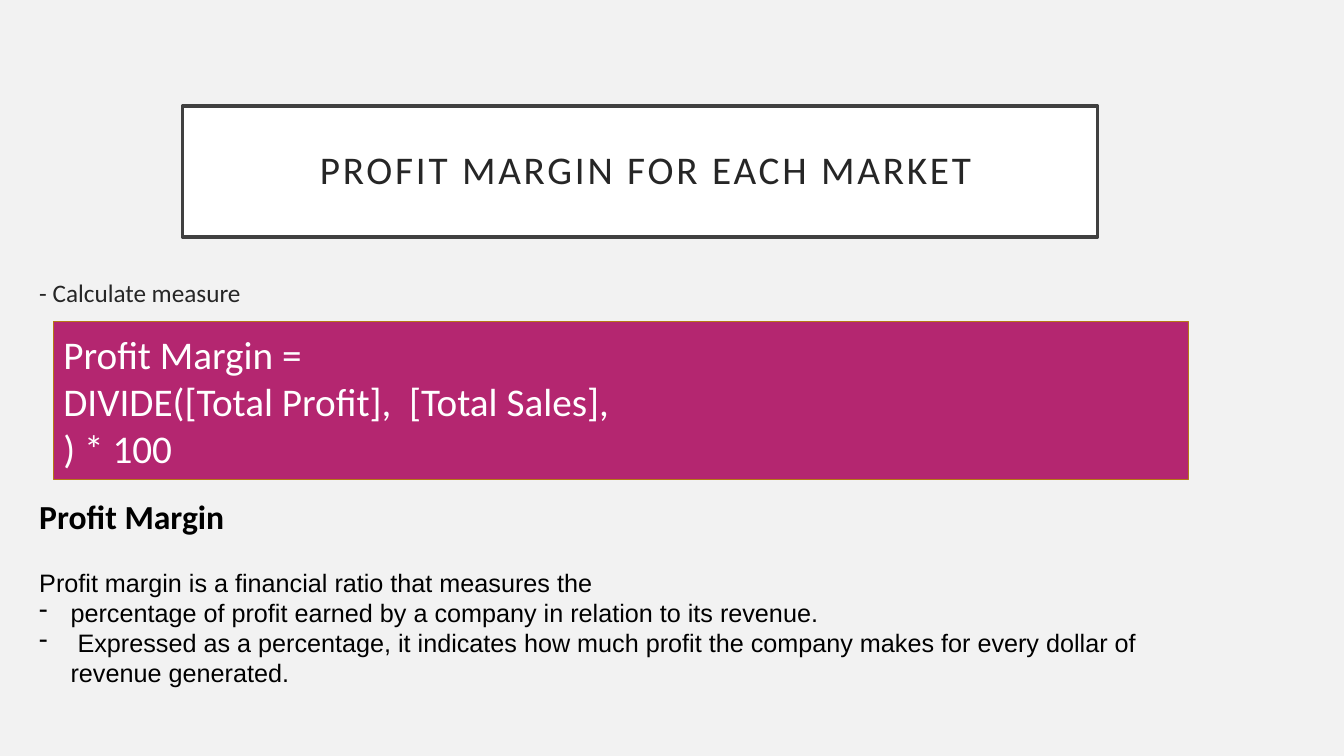
import pptx
import pptx.dml.color
import pptx.enum.shapes
import pptx.enum.text
import pptx.util
from lxml import etree

Cm, Pt = pptx.util.Cm, pptx.util.Pt
ANCHOR, ALIGN = pptx.enum.text.MSO_ANCHOR, pptx.enum.text.PP_ALIGN

BACKGROUND, INK, WHITE, BLACK = "F2F2F2", "262626", "FFFFFF", "000000"

# Each paragraph: text, font format, paragraph format, bullet
TITLE = [(" PROFIT MARGIN FOR EACH MARKET",
          {"size": Pt(28), "name": "Calibri", "color": INK},
          {"alignment": ALIGN.CENTER, "line_spacing": 0.9}, None)]
STEP = [("- Calculate measure",
         {"size": Pt(18), "name": "Calibri", "color": INK},
         {"space_before": Pt(10)}, None)]

FORMULA_FONT = {"size": Pt(28), "name": "Calibri", "color": WHITE}
FORMULA = [(line, FORMULA_FONT, {"alignment": ALIGN.LEFT}, None) for line in (
    "Profit Margin =",
    "DIVIDE([Total Profit],  [Total Sales],",
    ") * 100",
)]

BODY_FONT = {"size": Pt(18), "name": "Arial", "color": BLACK}
DEFINITION = [
    ("Profit Margin",
     {"size": Pt(24), "name": "Calibri", "color": BLACK, "bold": True}, {}, None),
    ("Profit margin is a financial ratio that measures the",
     BODY_FONT, {"space_before": Pt(22)}, None),
    ("percentage of profit earned by a company in relation to its revenue.",
     BODY_FONT, {}, "-"),
    (" Expressed as a percentage, it indicates how much profit the company "
     "makes for every dollar of revenue generated.", BODY_FONT, {}, "-"),
]

# Left, top, width, height in cm
STEP_BOX = (0.74, 6.86, 30.38, 11.66)
TITLE_BOX = (4.6, 2.67, 23.06, 3.3)
FORMULA_BOX = (1.35, 8.1, 28.6, 3.99)
DEFINITION_BOX = (0.74, 12.37, 29.21, 5.13)
TITLE_INSET, BULLET_INDENT = Cm(0.51), Cm(0.79)


def rgb(value):
    return pptx.dml.color.RGBColor.from_string(value)


def add_bullet(paragraph, mark):
    """Give the paragraph a hanging indent and a character bullet."""
    properties = paragraph._p.get_or_add_pPr()
    properties.set("marL", str(BULLET_INDENT))
    properties.set("indent", str(-BULLET_INDENT))
    tag = pptx.oxml.ns.qn("a:buChar")
    etree.SubElement(properties, tag).set("char", mark)


def write(frame, content, frame_format):
    for key, value in {"word_wrap": True, **frame_format}.items():
        setattr(frame, key, value)
    for index, (text, font, layout, bullet) in enumerate(content):
        paragraph = frame.add_paragraph() if index else frame.paragraphs[0]
        run = paragraph.add_run()
        run.text = text
        for key, value in font.items():
            if key == "color":
                run.font.color.rgb = rgb(value)
            else:
                setattr(run.font, key, value)
        for key, value in layout.items():
            setattr(paragraph, key, value)
        if bullet:
            add_bullet(paragraph, bullet)


def add_text(slide, box, content, **frame_format):
    textbox = slide.shapes.add_textbox(*map(Cm, box))
    write(textbox.text_frame, content, frame_format)


def add_panel(slide, box, content, fill, line, line_width, **frame_format):
    panel = slide.shapes.add_shape(
        pptx.enum.shapes.MSO_SHAPE.RECTANGLE, *map(Cm, box))
    panel.shadow.inherit = False
    panel.fill.solid()
    panel.fill.fore_color.rgb = rgb(fill)
    panel.line.color.rgb = rgb(line)
    panel.line.width = Pt(line_width)
    write(panel.text_frame, content,
          {"vertical_anchor": ANCHOR.MIDDLE, **frame_format})
    return panel


def main():
    deck = pptx.Presentation()
    deck.slide_width, deck.slide_height = Cm(33.87), Cm(19.05)
    slide = deck.slides.add_slide(deck.slide_layouts[6])
    slide.background.fill.solid()
    slide.background.fill.fore_color.rgb = rgb(BACKGROUND)

    add_text(slide, STEP_BOX, STEP)
    insets = {f"margin_{side}": TITLE_INSET
              for side in ("left", "top", "right", "bottom")}
    title = add_panel(slide, TITLE_BOX, TITLE, WHITE, "404040", 2.5, **insets)
    title_run = title.text_frame.paragraphs[0].runs[0]
    title_run.font._element.set("spc", "200")
    add_panel(slide, FORMULA_BOX, FORMULA, "B42670", "B67815", 1)
    add_text(slide, DEFINITION_BOX, DEFINITION,
             auto_size=pptx.enum.text.MSO_AUTO_SIZE.SHAPE_TO_FIT_TEXT)
    deck.save("out.pptx")


if __name__ == "__main__":
    main()
